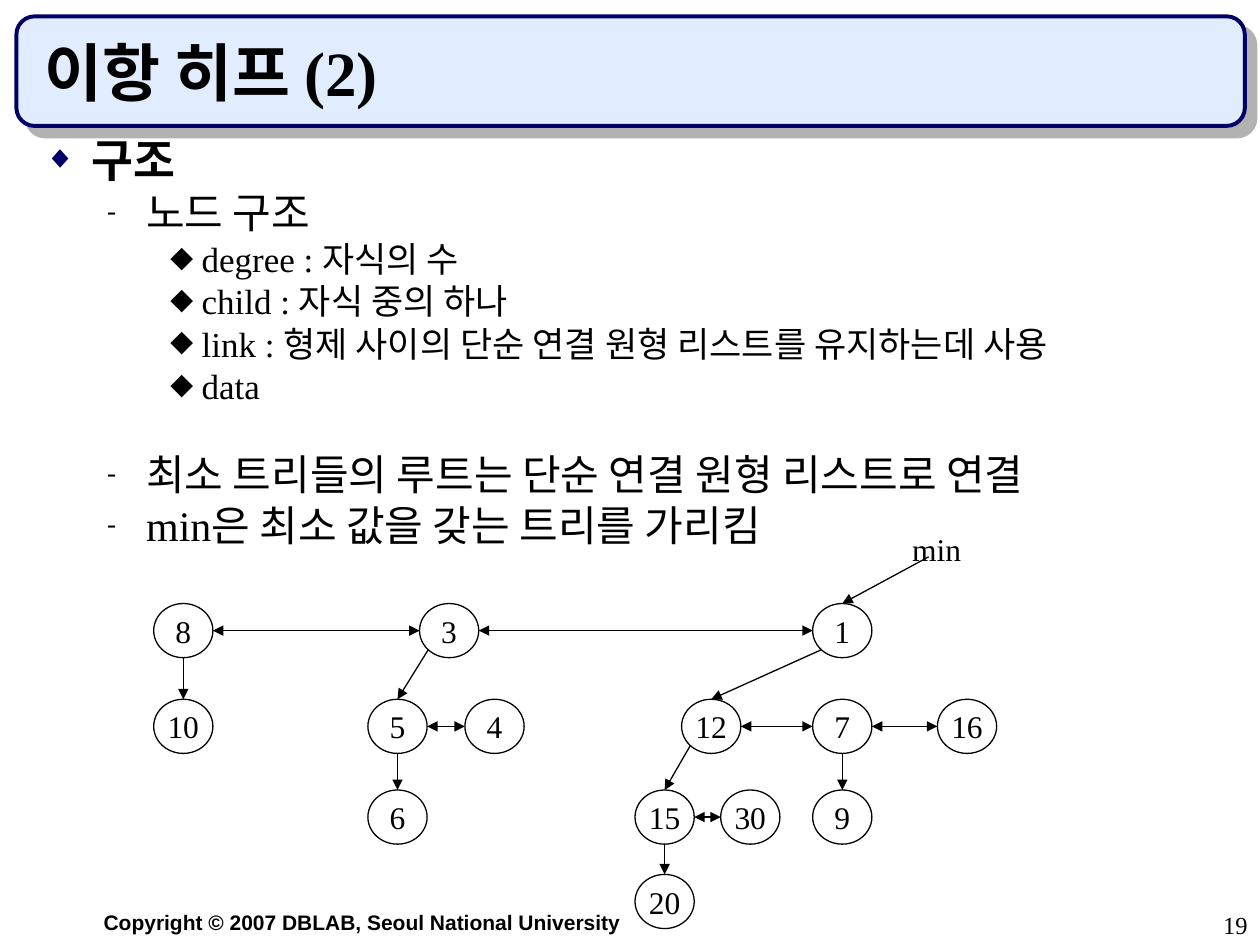
from math import sqrt

from lxml.etree import SubElement
from pptx import Presentation
from pptx.dml.color import RGBColor
from pptx.enum.shapes import MSO_CONNECTOR, MSO_SHAPE
from pptx.enum.text import MSO_ANCHOR, MSO_AUTO_SIZE, PP_ALIGN
from pptx.oxml.ns import qn
from pptx.util import Inches, Pt

BLACK = RGBColor(0x00, 0x00, 0x00)
NAVY = RGBColor(0x00, 0x00, 0x66)
PALE_BLUE = RGBColor(0xE1, 0xEC, 0xFF)
SHADOW = RGBColor(0xB2, 0xB2, 0xB2)
SERIF = "Times New Roman"

NODE_W, NODE_H = 0.47, 0.43
ROWS = (0.63, 1.39, 2.11, 2.78)
NODES = {
    "8": (0, 0), "10": (0, 1),
    "3": (2.11, 0), "5": (1.7, 1), "4": (2.47, 1), "6": (1.7, 2),
    "1": (5.23, 0), "12": (4.19, 1), "7": (5.23, 1), "16": (6.22, 1),
    "15": (3.82, 2), "30": (4.5, 2), "9": (5.23, 2), "20": (3.82, 3),
}
DOWN_LINKS = [("8", "10"), ("5", "6"), ("15", "20"), ("7", "9")]
CHILD_LINKS = [("3", "5"), ("1", "12"), ("12", "15")]
SIBLING_LINKS = [("8", "3"), ("3", "1"), ("5", "4"), ("12", "7"), ("7", "16"), ("15", "30")]

LEVELS = [
    dict(size=26, bold=True, indent=0.38, hang=0.38, before=6.5, char="◆", color=NAVY, pct=70),
    dict(size=24, bold=False, indent=0.81, hang=0.31, before=6, char="-", color=BLACK, pct=65),
    dict(size=20, bold=False, indent=1.25, hang=0.25, before=5, char="⬥", color=BLACK, pct=100),
]
OUTLINE = [
    (0, "구조"),
    (1, "노드 구조"),
    (2, "degree : 자식의 수"),
    (2, "child : 자식 중의 하나"),
    (2, "link : 형제 사이의 단순 연결 원형 리스트를 유지하는데 사용"),
    (2, "data"),
    (1, "최소 트리들의 루트는 단순 연결 원형 리스트로 연결"),
    (1, "min은 최소 값을 갖는 트리를 가리킴"),
]
GAP_BEFORE = {6: 29.5}


def write(p, text, size=18, font=SERIF, bold=False, align=PP_ALIGN.LEFT):
    p.alignment = align
    r = p.add_run()
    r.text = text
    r.font.size = Pt(size)
    r.font.name = font
    r.font.bold = bold
    r.font.color.rgb = BLACK


def place(sp, left, top, width, height):
    sp.left, sp.top = Inches(left), Inches(top)
    sp.width, sp.height = Inches(width), Inches(height)


def add_label(s, text, left, top, width, height, wrap=True, **fmt):
    tf = s.shapes.add_textbox(Inches(left), Inches(top), Inches(width), Inches(height)).text_frame
    tf.word_wrap = wrap
    write(tf.paragraphs[0], text, **fmt)


def add_title(s, left, top, width, height):
    sp = s.shapes.add_shape(MSO_SHAPE.ROUNDED_RECTANGLE, Inches(left), Inches(top),
                            Inches(width), Inches(height))
    sp.fill.solid()
    sp.fill.fore_color.rgb = PALE_BLUE
    sp.line.color.rgb = NAVY
    sp.line.width = Pt(2.25)
    sp.shadow.inherit = False
    effects = sp._element.spPr.find(qn("a:effectLst"))
    shadow = SubElement(effects, qn("a:outerShdw"), dist=str(Pt(8.5)), dir=str(45 * 60000),
                        algn="ctr", rotWithShape="0")
    SubElement(shadow, qn("a:srgbClr"), val=str(SHADOW))
    s.shapes._spTree.insert(2, sp._element)

    title = s.shapes.title
    place(title, left + 0.12, top + 0.12, width - 0.33, height - 0.2)
    tf = title.text_frame
    tf.auto_size = MSO_AUTO_SIZE.NONE
    tf.vertical_anchor = MSO_ANCHOR.BOTTOM
    write(tf.paragraphs[0], "이항 히프 (2)", size=36, bold=True)


def add_bullet(p, indent, hang, char, color, pct):
    pPr = p._p.get_or_add_pPr()
    pPr.set("marL", str(Inches(indent)))
    pPr.set("indent", str(-Inches(hang)))
    SubElement(SubElement(pPr, qn("a:buClr")), qn("a:srgbClr"), val=str(color))
    SubElement(pPr, qn("a:buSzPct"), val=str(pct * 1000))
    SubElement(pPr, qn("a:buFont"), typeface=SERIF)
    SubElement(pPr, qn("a:buChar"), char=char)


def add_outline(s, left, top, width, height):
    body = s.placeholders[1]
    place(body, left, top, width, height)
    tf = body.text_frame
    tf.auto_size = MSO_AUTO_SIZE.NONE
    for i, (level, text) in enumerate(OUTLINE):
        style = LEVELS[level]
        p = tf.paragraphs[0] if i == 0 else tf.add_paragraph()
        p.level = level
        add_bullet(p, *(style[k] for k in ("indent", "hang", "char", "color", "pct")))
        p.line_spacing = 0.8
        p.space_before = Pt(GAP_BEFORE.get(i, style["before"]) if i else 0)
        write(p, text, size=style["size"], bold=style["bold"])


def add_node(s, text, left, top):
    sp = s.shapes.add_shape(MSO_SHAPE.OVAL, Inches(left), Inches(top),
                            Inches(NODE_W), Inches(NODE_H))
    sp.shadow.inherit = False
    sp.fill.background()
    sp.line.color.rgb = BLACK
    sp.line.width = Pt(0.75)
    tf = sp.text_frame
    tf.word_wrap = False
    tf.vertical_anchor = MSO_ANCHOR.MIDDLE
    write(tf.paragraphs[0], text, align=PP_ALIGN.CENTER)


def add_arrow(s, start, end, both=False):
    c = s.shapes.add_connector(MSO_CONNECTOR.STRAIGHT, *map(Inches, start + end))
    c.line.color.rgb = BLACK
    c.line.width = Pt(0.75)
    ln = c.line._get_or_add_ln()
    if both:
        SubElement(ln, qn("a:headEnd"), type="triangle")
    SubElement(ln, qn("a:tailEnd"), type="triangle")
    SubElement(c._element.spPr, qn("a:effectLst"))


def add_heap(s, left, top):
    def edge(name, dx, dy):
        x, row = NODES[name]
        return (left + x + NODE_W / 2 * (1 + dx), top + ROWS[row] + NODE_H / 2 * (1 + dy))

    for name, (x, row) in NODES.items():
        add_node(s, name, left + x, top + ROWS[row])
    for a, b in DOWN_LINKS:
        add_arrow(s, edge(a, 0, 1), edge(b, 0, -1))
    diagonal = sqrt(0.5)
    for a, b in CHILD_LINKS:
        add_arrow(s, edge(a, -diagonal, diagonal), edge(b, 0, -1))
    for a, b in SIBLING_LINKS:
        add_arrow(s, edge(a, 1, 0), edge(b, -1, 0), both=True)
    add_label(s, "min", left + 5.92, top, 0.59, 0.4, wrap=False)
    add_arrow(s, (left + 6.15, top + 0.26), edge("1", 0, -1))


def add_footer(s, top):
    add_label(s, "Copyright © 2007 DBLAB, Seoul National University", 0.25, top, 5.25, 0.3,
              size=12, font="Arial", bold=True, align=PP_ALIGN.CENTER)
    add_label(s, "19", 7.92, top, 2.08, 0.33, size=14, align=PP_ALIGN.RIGHT)


def main():
    prs = Presentation()
    prs.slide_width, prs.slide_height = Inches(10), Inches(7.5)
    s = prs.slides.add_slide(prs.slide_layouts[1])
    add_title(s, 0.13, 0.13, 9.75, 0.87)
    add_outline(s, 0.25, 1.08, 9.42, 5.83)
    add_heap(s, 1.22, 4.16)
    add_footer(s, 7.17)
    prs.save("out.pptx")


if __name__ == "__main__":
    main()
